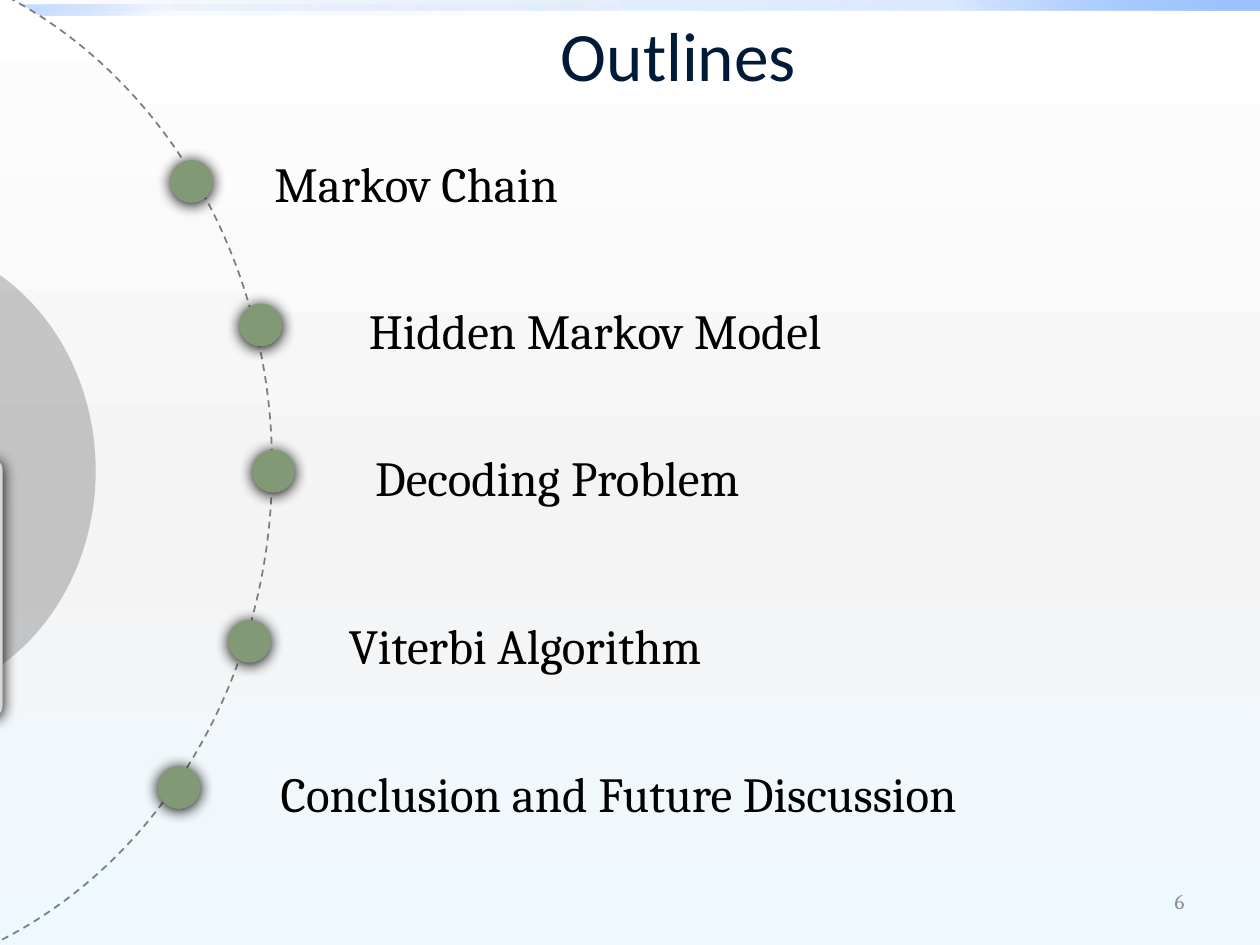
from lxml import etree
from pptx import Presentation
from pptx.dml.color import RGBColor
from pptx.enum.dml import MSO_LINE
from pptx.enum.shapes import MSO_SHAPE
from pptx.enum.text import MSO_ANCHOR, MSO_AUTO_SIZE, PP_ALIGN
from pptx.oxml.ns import qn
from pptx.util import Inches, Pt

RECT, ROUNDED = MSO_SHAPE.RECTANGLE, MSO_SHAPE.ROUNDED_RECTANGLE
OVAL, ARC = MSO_SHAPE.OVAL, MSO_SHAPE.ARC
LEFT, CENTER, RIGHT = PP_ALIGN.LEFT, PP_ALIGN.CENTER, PP_ALIGN.RIGHT
MIDDLE, FIT_SHAPE = MSO_ANCHOR.MIDDLE, MSO_AUTO_SIZE.SHAPE_TO_FIT_TEXT
DASH = MSO_LINE.DASH

# Content: topic, text left and top, dot left and top
TITLE = "Outlines"
PAGE = "6"
TOPICS = [
    ("Markov Chain", 2.08, 1.17, 1.35, 1.27),
    ("Hidden Markov Model", 2.67 + 0.16, 2.33, 1.9, 2.41),
    ("Decoding Problem", 2.88, 3.5, 2, 3.57),
    ("Viterbi Algorithm", 2.67, 4.83, 1.81, 4.92),
    ("Conclusion and Future Discussion", 2.13, 6.01, 1.25, 6.08),
]
DOT = 0.34

# Gradients: (position %, colour, opacity %)
PAPER = [(0, "FFFFFF", 100), (55, "F4F4F4", 100), (100, "EEF9FF", 100)]
TOP_BAND = [(0, "0058B7", 0), (75, "4F95FF", 20), (100, "9EC2FF", 100)]
LEFT_BAND = [(0, "0058B7", 0), (75, "4F95FF", 5), (100, "9EC2FF", 60)]

TOPIC_FONT = {"size": Pt(28), "name": "Cambria"}
TITLE_FONT = {"size": Pt(39.6), "name": "Calibri"}
PAGE_FONT = {"size": Pt(12), "name": "Cambria"}


def color(value):
    return RGBColor.from_string(value)


def add_child(parent, tag, **attributes):
    child = etree.SubElement(parent, qn(tag))
    for key, value in attributes.items():
        child.set(key, str(value))
    return child


def set_gradient(fill, owner, stops, angle):
    fill.gradient()
    gradient = next(owner.iter(qn("a:gradFill")))
    for child in list(gradient):
        gradient.remove(child)
    stop_list = add_child(gradient, "a:gsLst")
    for position, value, opacity in stops:
        stop = add_child(stop_list, "a:gs", pos=position * 1000)
        rgb = add_child(stop, "a:srgbClr", val=value)
        if opacity < 100:
            add_child(rgb, "a:alpha", val=opacity * 1000)
    add_child(gradient, "a:lin", ang=angle * 60000, scaled=0)


def add_figure(kind, box, fill=None, opacity=100, adjust=(), shadow=False):
    figure = slide.shapes.add_shape(kind, *map(Inches, box))
    for index, value in enumerate(adjust):
        figure.adjustments[index] = value
    figure.line.fill.background()
    figure.shadow.inherit = False
    properties = figure.element.spPr
    if fill:
        figure.fill.solid()
        figure.fill.fore_color.rgb = color(fill)
        if opacity < 100:
            rgb = next(properties.iter(qn("a:srgbClr")))
            add_child(rgb, "a:alpha", val=opacity * 1000)
    if shadow:
        outer = add_child(properties.find(qn("a:effectLst")), "a:outerShdw",
                          blurRad=Pt(8.5), dist=Pt(1), dir=90 * 60000,
                          rotWithShape=0)
        add_child(outer, "a:srgbClr", val="000000")
    return figure


def write(frame, text, font, value, align=LEFT):
    frame.word_wrap = True
    frame.vertical_anchor = MIDDLE
    paragraph = frame.paragraphs[0]
    paragraph.alignment = align
    run = paragraph.add_run()
    run.text = text
    for key, setting in font.items():
        setattr(run.font, key, setting)
    run.font.color.rgb = color(value)


def add_text(box, *content):
    frame = slide.shapes.add_textbox(*map(Inches, box)).text_frame
    write(frame, *content)
    return frame


presentation = Presentation()
presentation.slide_width, presentation.slide_height = Inches(10), Inches(7.5)
slide = presentation.slides.add_slide(presentation.slide_layouts[5])

# Background and top bands
set_gradient(slide.background.fill, slide.element, PAPER, 90)
for box, stops, angle in [((0, 0, 10, 0.08), TOP_BAND, 315),
                          ((0, 0.04, 5, 0.08), LEFT_BAND, 135)]:
    band = add_figure(RECT, box)
    set_gradient(band.fill, band.element.spPr, stops, angle)

# Dashed orbit
orbit = add_figure(ARC, (-5.17, -0.42, 7.33, 8.25), adjust=(162, 54.07))
set_gradient(orbit.fill, orbit.element.spPr, PAPER, 90)
orbit.line.color.rgb = color("7D7D7D")
orbit.line.width = Pt(1)
orbit.line.dash_style = DASH

# Hub at the left edge
add_figure(ARC, (-2.5, 1.9, 3.26, 3.67), "000000", 20, (162, 53.6))
handle = add_figure(ROUNDED, (-0.23, 3.64, 0.25, 2.05), "D7D7D7",
                    adjust=(0.35,), shadow=True)
handle.rotation = 180

# Topics with their dots
for topic, text_left, text_top, dot_left, dot_top in TOPICS:
    label = add_text((text_left, text_top, 8, 0.57), topic, TOPIC_FONT, "000000")
    label.auto_size = FIT_SHAPE
    add_figure(OVAL, (dot_left, dot_top, DOT, DOT), "829975", shadow=True)

# Title and page number
title = slide.shapes.title
title.left, title.top, title.width, title.height = map(
    Inches, (0.97, 0.05, 8.83, 0.76))
write(title.text_frame, TITLE, TITLE_FONT, "001B36", CENTER)
add_text((7.17, 6.95, 2.33, 0.4), PAGE, PAGE_FONT, "8C8C8C", RIGHT)

presentation.save("out.pptx")
